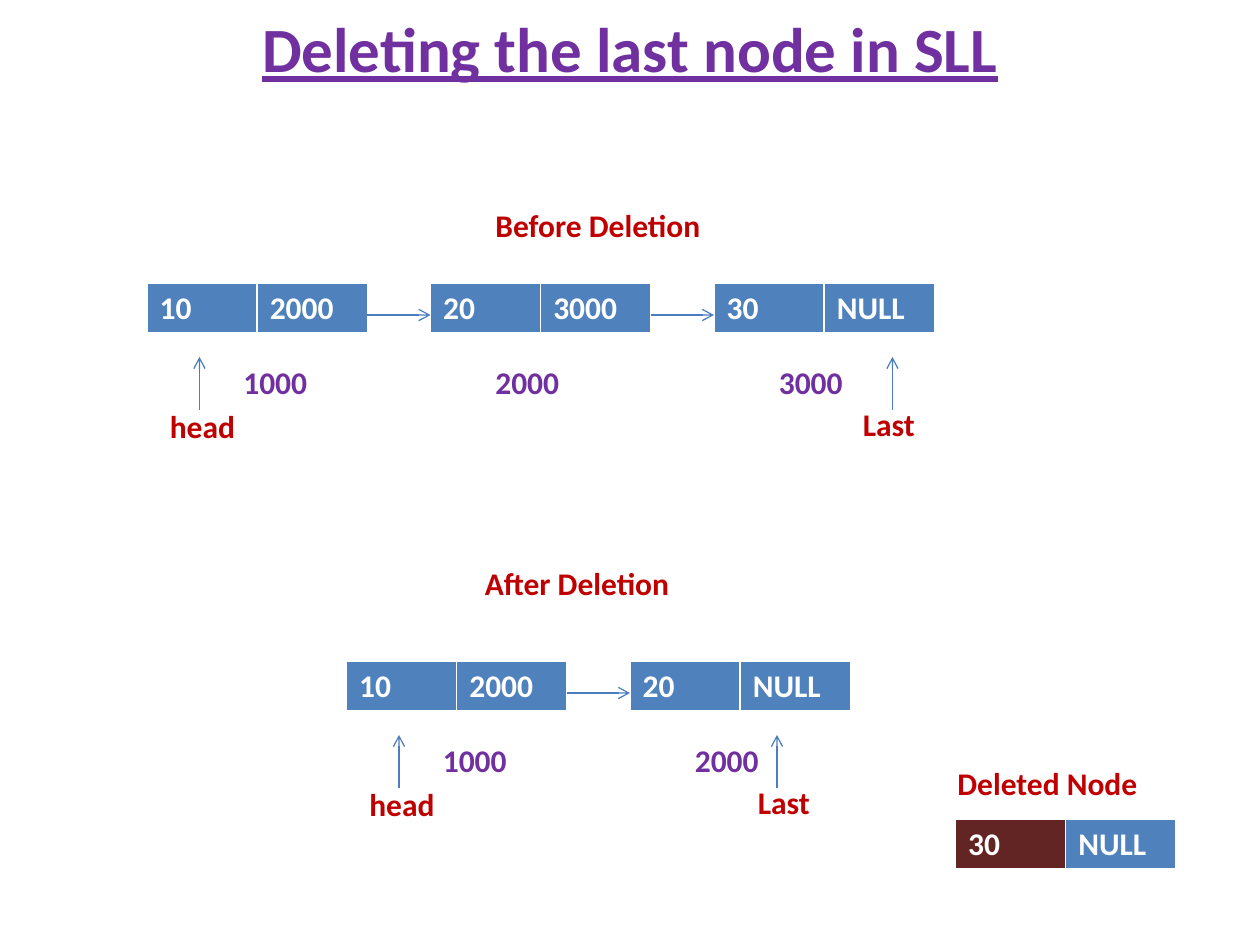
from pptx import Presentation
from pptx.dml.color import RGBColor
from pptx.enum.shapes import MSO_CONNECTOR
from pptx.enum.text import MSO_ANCHOR, MSO_AUTO_SIZE, PP_ALIGN
from pptx.oxml import parse_xml
from pptx.oxml.ns import nsdecls
from pptx.oxml.xmlchemy import OxmlElement
from pptx.util import Pt

BLUE, MAROON, WHITE = "4F81BD", "632523", "FFFFFF"
PURPLE, RED, ARROW = "7030A0", "C00000", "4B7EBC"
NODE_WIDTH, NODE_HEIGHT, PITCH = 126, 29.2, 162
BORDERS = {"lnL": 1, "lnR": 1, "lnT": 1, "lnB": 3}


def color(value):
    return RGBColor.from_string(value)


class Diagram:
    font = "Calibri"
    size = 18

    def __init__(self, slide):
        self.slide = slide

    def style(self, paragraph, fill, size=None):
        font = paragraph.font
        font.name = self.font
        font.size = Pt(size or self.size)
        font.bold = True
        font.color.rgb = color(fill)

    def title(self, text):
        heading = self.slide.shapes.add_textbox(Pt(36), Pt(-18), Pt(648), Pt(90))
        frame = heading.text_frame
        frame.word_wrap = True
        frame.vertical_anchor = MSO_ANCHOR.MIDDLE
        frame.text = text
        paragraph = frame.paragraphs[0]
        paragraph.alignment = PP_ALIGN.CENTER
        self.style(paragraph, PURPLE, 36)
        paragraph.font.underline = True

    def label(self, text, left, top, fill=RED, width=66):
        caption = self.slide.shapes.add_textbox(Pt(left), Pt(top), Pt(width), Pt(29))
        frame = caption.text_frame
        frame.word_wrap = True
        frame.auto_size = MSO_AUTO_SIZE.SHAPE_TO_FIT_TEXT
        frame.text = text
        self.style(frame.paragraphs[0], fill)

    def arrow(self, x1, y1, x2, y2):
        link = self.slide.shapes.add_connector(
            MSO_CONNECTOR.STRAIGHT, Pt(x1), Pt(y1), Pt(x2), Pt(y2))
        link.line.color.rgb = color(ARROW)
        link.line.width = Pt(0.75)
        head = OxmlElement("a:tailEnd")
        head.set("type", "arrow")
        link.line._get_or_add_ln().append(head)
        link._element.spPr.append(OxmlElement("a:effectLst"))

    def node(self, values, left, top, data_fill=BLUE):
        node = self.slide.shapes.add_table(
            1, 2, Pt(left), Pt(top), Pt(NODE_WIDTH), Pt(NODE_HEIGHT)).table
        for cell, value, fill in zip(node.rows[0].cells, values, (data_fill, BLUE)):
            cell.text = value
            self.style(cell.text_frame.paragraphs[0], WHITE)
            cell.fill.solid()
            cell.fill.fore_color.rgb = color(fill)
            properties = cell._tc.get_or_add_tcPr()
            for position, (side, width) in enumerate(BORDERS.items()):
                properties.insert(position, parse_xml(
                    f'<a:{side} {nsdecls("a")} w="{Pt(width)}"><a:solidFill>'
                    f'<a:srgbClr val="{WHITE}"/></a:solidFill></a:{side}>'))

    def pointer(self, text, x, top, text_left, text_top):
        self.arrow(x, top + 72, x, top + 42)
        self.label(text, text_left, top + text_top)

    def linked_list(self, data, left, top, last_x, last_left):
        addresses = [str(1000 * (i + 1)) for i in range(len(data))]
        for i, values in enumerate(zip(data, addresses[1:] + ["NULL"])):
            node_left = left + i * PITCH
            self.node(values, node_left, top)
            self.label(addresses[i], node_left + (30 if i else 48), top + 42, PURPLE)
            if i:
                self.arrow(node_left - PITCH + NODE_WIDTH, top + 18, node_left, top + 18)
        self.pointer("head", left + 30, top, left + 6, 67)
        self.pointer("Last", last_x, top, last_left, 66)


def main():
    presentation = Presentation()
    presentation.slide_width, presentation.slide_height = Pt(720), Pt(540)
    diagram = Diagram(presentation.slides.add_slide(presentation.slide_layouts[6]))
    diagram.title("Deleting the last node in SLL")
    diagram.label("Before Deletion", 276, 114, width=162)
    diagram.linked_list(["10", "20", "30"], 84, 162, 510, 486)
    diagram.label("After Deletion", 270, 319, width=162)
    diagram.linked_list(["10", "20"], 198, 378, 444, 426)
    diagram.label("Deleted Node", 540, 433, width=162)
    diagram.node(("30", "NULL"), 546, 468, MAROON)
    presentation.save("out.pptx")


if __name__ == "__main__":
    main()
